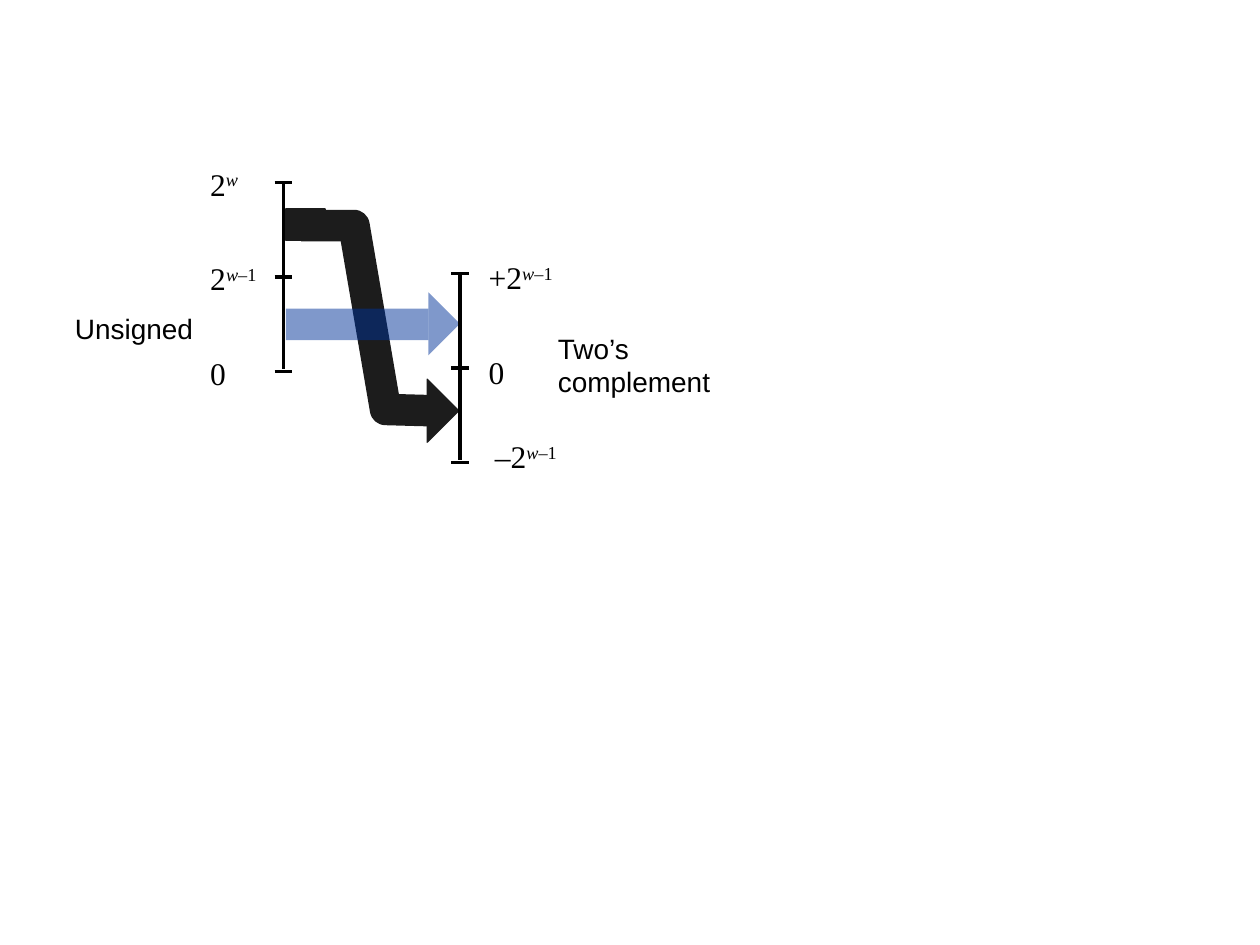
from lxml import etree
from pptx import Presentation
from pptx.dml.color import RGBColor
from pptx.enum.shapes import MSO_CONNECTOR as Connector, MSO_SHAPE as Shape
from pptx.enum.text import MSO_AUTO_SIZE as AutoSize, PP_ALIGN as Align
from pptx.oxml.ns import qn
from pptx.util import Inches, Pt

COLORS = {"black": "000000", "dark": "1C1C1C", "blue": "003399"}

deck = Presentation()
deck.slide_width, deck.slide_height = Inches(10), Inches(7.5)
page = deck.slides.add_slide(deck.slide_layouts[6])


def add_text(text, left, top, width, height, *, exponent=(), size=18,
             font="Times New Roman", align=Align.LEFT):
    """Add a label; exponent holds (text, italic) pairs set as superscript."""
    box = page.shapes.add_textbox(Inches(left), Inches(top), Inches(width), Inches(height))
    frame = box.text_frame
    frame.word_wrap = False
    frame.auto_size = AutoSize.SHAPE_TO_FIT_TEXT
    for index, line in enumerate(text.split("\n")):
        para = frame.add_paragraph() if index else frame.paragraphs[0]
        para.alignment = align
        for part, italic, raised in [(line, False, False)] + [(*e, True) for e in exponent]:
            span = para.add_run()
            span.text = part
            span.font.size, span.font.name = Pt(size), font
            span.font.italic = italic
            span.font.color.rgb = RGBColor.from_string(COLORS["black"])
            if raised:
                span.font._element.set("baseline", "30000")


def paint(shape, *, fill=None, line=None, width=0.75, alpha=None):
    """Set fill, outline and fill opacity in percent."""
    shape.shadow.inherit = False
    if fill:
        shape.fill.solid()
        shape.fill.fore_color.rgb = RGBColor.from_string(COLORS[fill])
    else:
        shape.fill.background()
    if line:
        shape.line.color.rgb = RGBColor.from_string(COLORS[line])
        shape.line.width = Pt(width)
    else:
        shape.line.fill.background()
    if alpha:
        color = shape._element.spPr.find(qn("a:solidFill"))[0]
        etree.SubElement(color, qn("a:alpha")).set("val", str(alpha * 1000))


# Bent arrow: upper unsigned half goes to the negative half
bend = page.shapes.build_freeform(Inches(2.39), Inches(1.79))
bend.add_line_segments([(Inches(x), Inches(y)) for x, y in
                        [(2.81, 1.79), (3.06, 3.25), (3.43, 3.26)]], close=False)
paint(bend.convert_to_shape(), line="dark", width=18)

# Arrowheads and shafts, each arrow in its own group
arrows = [
    ((3.39, 3.01), (2.27, 1.66, 0.31), dict(fill="dark", line="dark")),
    ((3.4, 2.32), (2.27, 2.45, 1.13), dict(fill="blue", alpha=50)),
]
for (head_x, head_y), (left, top, width), style in arrows:
    arrow = page.shapes.add_group_shape()
    head = arrow.shapes.build_freeform(Inches(head_x), Inches(head_y))
    head.add_line_segments([(Inches(head_x), Inches(head_y + 0.5)),
                            (Inches(head_x + 0.25), Inches(head_y + 0.25))])
    shaft = arrow.shapes.add_shape(Shape.RECTANGLE, Inches(left), Inches(top),
                                   Inches(width), Inches(0.25))
    for shape in (head.convert_to_shape(), shaft):
        paint(shape, **style)

# Number axes with three ticks each
TICK_GAP, TICK_HALF = 0.75, 0.07
for axis_x, top in [(2.25, 1.45), (3.65, 2.17)]:
    axis = page.shapes.add_group_shape()
    lines = [(axis_x, top + 0.01, axis_x, top + 1.48)]
    for step in range(3):
        tick_y = top + step * TICK_GAP
        lines.append((axis_x - TICK_HALF, tick_y, axis_x + TICK_HALF, tick_y))
    for ends in lines:
        line = axis.shapes.add_connector(Connector.STRAIGHT, *[Inches(v) for v in ends])
        line.line.color.rgb = RGBColor.from_string(COLORS["black"])
        line.line.width = Pt(2)
        etree.SubElement(line._element.spPr, qn("a:effectLst"))

# Axis values
W = ("w", True)
W_LESS_ONE = (W, ("–1", False))
for text, left, top, width, exponent in [
    ("2", 1.57, 1.26, 0.44, (W,)),
    ("2", 1.57, 2.01, 0.61, W_LESS_ONE),
    ("0", 1.57, 2.76, 0.34, ()),
    ("+2", 3.78, 2, 0.75, W_LESS_ONE),
    ("0", 3.78, 2.75, 0.34, ()),
    ("–2", 3.83, 3.42, 0.73, W_LESS_ONE),
]:
    add_text(text, left, top, width, 0.4, exponent=exponent)

# Axis names
add_text("Unsigned", 0.45, 2.42, 1.18, 0.36, size=16, font="Arial", align=Align.RIGHT)
add_text("Two’s\ncomplement", 4.33, 2.58, 1.45, 0.63, size=16, font="Arial")

deck.save("out.pptx")
